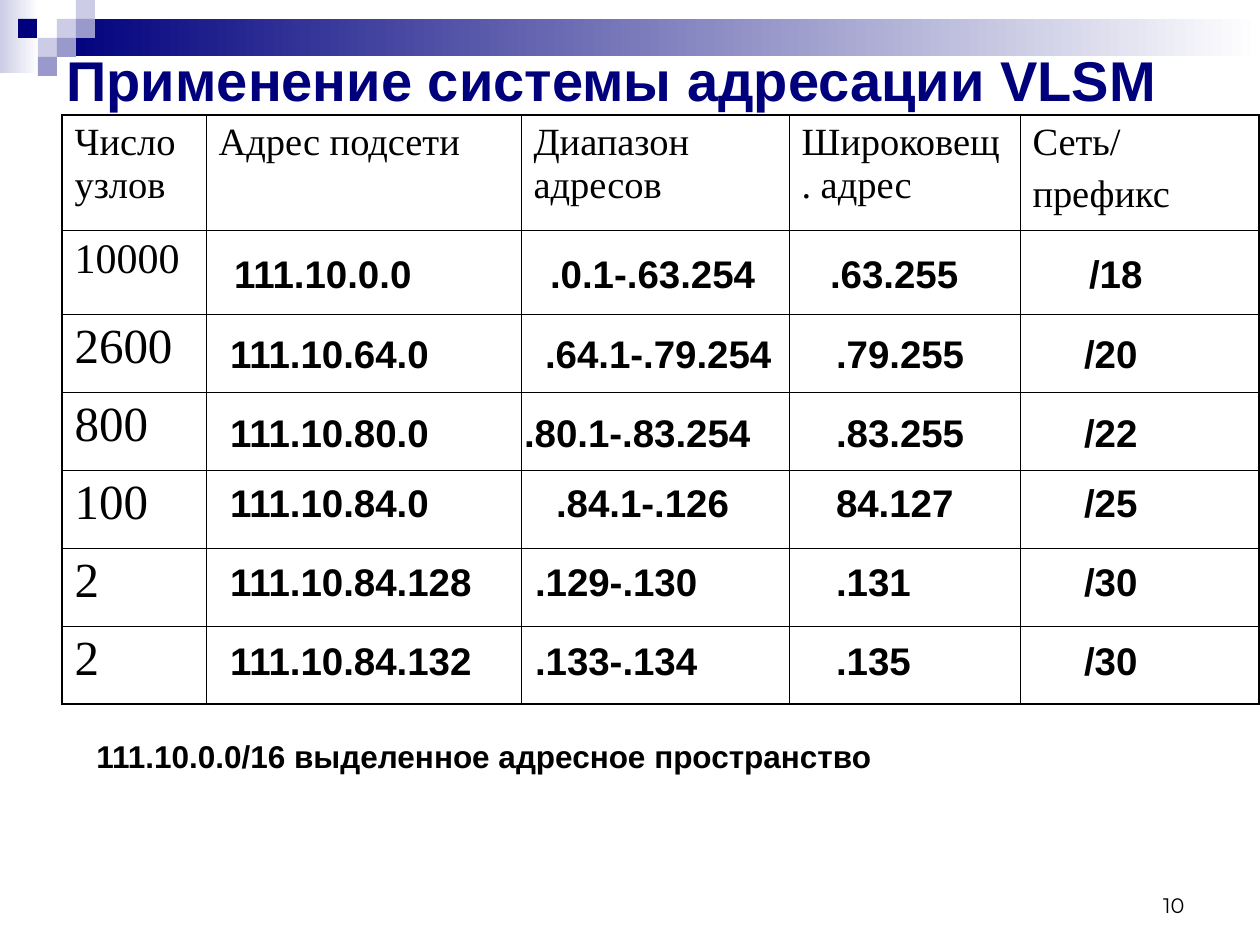
import pptx
import pptx.dml.color
import pptx.enum.shapes
import pptx.enum.text
import pptx.oxml
import pptx.oxml.ns
import pptx.util

EMU_PER_PX = 914400 / 126

NAVY = pptx.dml.color.RGBColor(0x00, 0x00, 0x7D)
LAVENDER = pptx.dml.color.RGBColor(0xCC, 0xCC, 0xE6)
PERIWINKLE = pptx.dml.color.RGBColor(0x99, 0x99, 0xCC)
WHITE = pptx.dml.color.RGBColor(0xFF, 0xFF, 0xFF)
BLACK = pptx.dml.color.RGBColor(0x00, 0x00, 0x00)

ALIGN = pptx.enum.text.PP_ALIGN
ANCHOR = pptx.enum.text.MSO_ANCHOR
Pt = pptx.util.Pt

TITLE_FONT = {"name": "Arial", "size": Pt(32), "bold": True}
NOTE_FONT = {"name": "Arial", "size": Pt(18), "bold": True}
ADDRESS_FONT = {"name": "Arial", "size": Pt(22), "bold": True}
NUMBER_FONT = {"name": "Montserrat", "size": Pt(12)}

GRADIENT_BARS = [((0, 0, 39, 73), LAVENDER), ((57, 19, 1203, 37), NAVY)]
SQUARE_SIZE = 19
SQUARES = [
    (57, 19, LAVENDER), (76, 0, LAVENDER), (76, 19, PERIWINKLE),
    (38, 38, LAVENDER), (18, 19, NAVY), (57, 38, PERIWINKLE), (38, 57, PERIWINKLE),
]

TABLE_LEFT, TABLE_TOP = 62, 115
COLUMN_WIDTHS = [144, 315, 268, 231, 239]
ROW_HEIGHTS = [115, 84] + [78] * 5
HEADERS = ["Число узлов", "Адрес подсети", "Диапазон адресов",
           "Широковещ. адрес", "Сеть/\nпрефикс"]
HOST_COUNTS = [("10000", 24), ("2600", 28), ("800", 28), ("100", 28), ("2", 28), ("2", 28)]
THIN, THICK = 0.45, 1.08

# Box left and top, then the start of each text, then the texts
ADDRESS_LINES = [
    (193, 244, (234, 550, 830, 1089), ("111.10.0.0", ".0.1-.63.254", ".63.255", "/18")),
    (169, 324, (230, 545, 836, 1084), ("111.10.64.0", ".64.1-.79.254", ".79.255", "/20")),
    (169, 403, (230, 524, 836, 1084), ("111.10.80.0", ".80.1-.83.254", ".83.255", "/22")),
    (169, 473, (230, 556, 836, 1084), ("111.10.84.0", ".84.1-.126", "84.127", "/25")),
    (169, 552, (230, 535, 836, 1084), ("111.10.84.128", ".129-.130", ".131", "/30")),
    (169, 631, (230, 535, 836, 1084), ("111.10.84.132", ".133-.134", ".135", "/30")),
]


def px(length):
    return round(length * EMU_PER_PX)


def apply_format(target, values):
    for name, value in values.items():
        setattr(target, name, value)


def write_text(text_frame, text, font, color=BLACK, **paragraph_format):
    """Fill the frame with one paragraph for each line of text."""
    text_frame.text = text
    for paragraph in text_frame.paragraphs:
        apply_format(paragraph, paragraph_format)
        for run in paragraph.runs:
            apply_format(run.font, font)
            run.font.color.rgb = color


def add_rectangle(slide, box, color, fades=False):
    shape = slide.shapes.add_shape(pptx.enum.shapes.MSO_SHAPE.RECTANGLE, *map(px, box))
    shape.shadow.inherit = False
    shape.line.fill.background()
    if fades:
        shape.fill.gradient()
        shape.fill.gradient_angle = 0
        for stop, stop_color in zip(shape.fill.gradient_stops, (color, WHITE)):
            stop.color.rgb = stop_color
    else:
        shape.fill.solid()
        shape.fill.fore_color.rgb = color


def add_text(slide, box, text, font, anchor=ANCHOR.TOP, **paragraph_format):
    shape = slide.shapes.add_textbox(*map(px, box))
    apply_format(shape.text_frame, {"word_wrap": True, "vertical_anchor": anchor})
    write_text(shape.text_frame, text, font, **paragraph_format)
    return shape


def add_title(slide, text):
    title = slide.shapes.title
    apply_format(title, {"left": px(54), "top": px(55), "width": px(1134), "height": px(49)})
    apply_format(title.text_frame, {"word_wrap": True, "vertical_anchor": ANCHOR.MIDDLE,
                                    "auto_size": pptx.enum.text.MSO_AUTO_SIZE.NONE})
    write_text(title.text_frame, text, TITLE_FONT, NAVY, alignment=ALIGN.LEFT)
    slide.shapes._spTree.append(title._element)  # in front of the decoration


def set_borders(cell, widths):
    properties = cell._tc.get_or_add_tcPr()
    for side, width in widths.items():
        properties.append(pptx.oxml.parse_xml(
            f'<a:ln{side} {pptx.oxml.ns.nsdecls("a")} w="{Pt(width)}">'
            f'<a:solidFill><a:srgbClr val="{BLACK}"/></a:solidFill></a:ln{side}>'))


def add_subnet_table(slide):
    row_count, column_count = len(ROW_HEIGHTS), len(COLUMN_WIDTHS)
    table = slide.shapes.add_table(
        row_count, column_count, px(TABLE_LEFT), px(TABLE_TOP),
        px(sum(COLUMN_WIDTHS)), px(sum(ROW_HEIGHTS))).table
    apply_format(table, {"first_row": False, "horz_banding": False})
    for column, width in zip(table.columns, COLUMN_WIDTHS):
        column.width = px(width)
    for row, height in zip(table.rows, ROW_HEIGHTS):
        row.height = px(height)

    for row in range(row_count):
        for column in range(column_count):
            cell = table.cell(row, column)
            set_borders(cell, {
                "L": THICK if column == 0 else THIN,
                "R": THICK if column == column_count - 1 else THIN,
                "T": THICK if row == 0 else THIN,
                "B": THICK if row == row_count - 1 else THIN,
            })
            cell.fill.background()

    entries = [(0, column, text, 22) for column, text in enumerate(HEADERS)]
    entries += [(row, 0, text, size) for row, (text, size) in enumerate(HOST_COUNTS, 1)]
    for row, column, text, size in entries:
        write_text(table.cell(row, column).text_frame, text,
                   {"name": "Times New Roman", "size": Pt(size)},
                   space_before=Pt(size / 4))


def add_address_line(slide, left, top, starts, texts):
    """Add one line of texts, each at its own tab stop."""
    shape = add_text(slide, (left, top, 1091, 59), "\t".join(texts), ADDRESS_FONT,
                     space_before=Pt(13.8))
    shape.text_frame.margin_left = px(starts[0] - left)
    stops = "".join(f'<a:tab pos="{px(start - starts[0])}" algn="l"/>' for start in starts[1:])
    shape.text_frame.paragraphs[0]._p.get_or_add_pPr().append(pptx.oxml.parse_xml(
        f'<a:tabLst {pptx.oxml.ns.nsdecls("a")}>{stops}</a:tabLst>'))


def main():
    presentation = pptx.Presentation()
    apply_format(presentation, {"slide_width": px(1260), "slide_height": px(945)})
    slide = presentation.slides.add_slide(presentation.slide_layouts[5])

    for box, color in GRADIENT_BARS:
        add_rectangle(slide, box, color, fades=True)
    for left, top, color in SQUARES:
        add_rectangle(slide, (left, top, SQUARE_SIZE, SQUARE_SIZE), color)
    add_title(slide, "Применение системы адресации VLSM")
    add_subnet_table(slide)
    add_text(slide, (84, 731, 1072, 50), "111.10.0.0/16 выделенное адресное пространство",
             NOTE_FONT, space_before=Pt(11.2))
    for line in ADDRESS_LINES:
        add_address_line(slide, *line)
    add_text(slide, (903, 861, 294, 63), "10", NUMBER_FONT, ANCHOR.BOTTOM,
             alignment=ALIGN.RIGHT)
    presentation.save("out.pptx")


if __name__ == "__main__":
    main()
